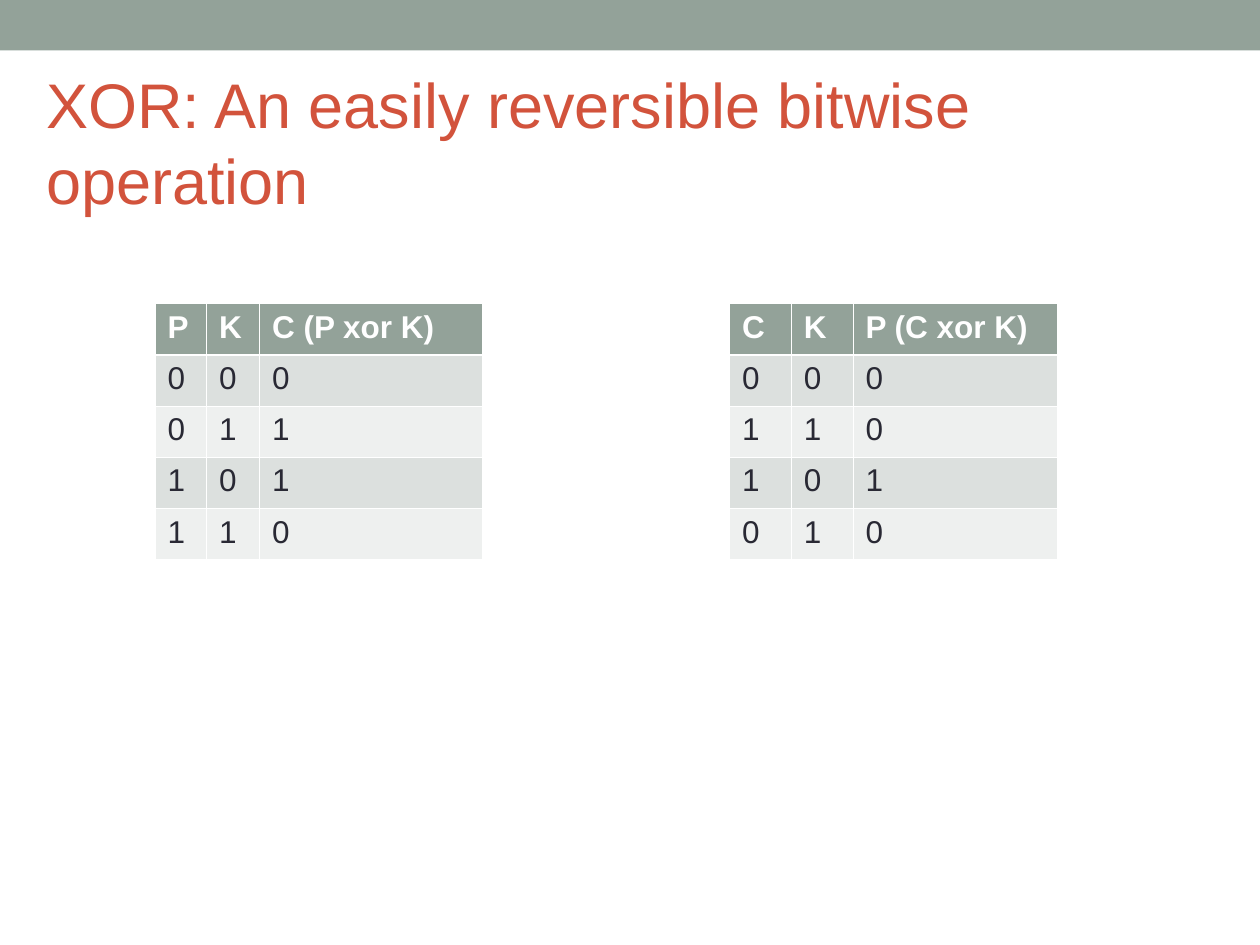
import pptx
import pptx.dml.color
import pptx.enum.shapes
import pptx.enum.text
import pptx.oxml
import pptx.oxml.ns
import pptx.util
from pptx.dml.color import RGBColor
from pptx.util import Inches

SAGE = RGBColor(0x93, 0xA2, 0x99)
RED = RGBColor(0xD2, 0x53, 0x3C)
INK = RGBColor(0x29, 0x29, 0x34)
WHITE = RGBColor(0xFF, 0xFF, 0xFF)
BANDS = (RGBColor(0xDC, 0xE0, 0xDE), RGBColor(0xEE, 0xF0, 0xEF))

THIN, THICK = 0.45, 1.47
TABLE_TOP, TABLE_HEIGHT = 2.41, 2.03

ENCRYPT = (("P", "K", "C (P xor K)"), "000", "011", "101", "110")
DECRYPT = (("C", "K", "P (C xor K)"), "000", "110", "101", "010")


def set_font(paragraph, size, color, bold=False):
    font = paragraph.font
    font.name = "Arial"
    font.size = pptx.util.Pt(size)
    font.color.rgb = color
    font.bold = bold


def add_top_band(slide):
    band = slide.shapes.add_shape(
        pptx.enum.shapes.MSO_SHAPE.RECTANGLE, 0, 0, Inches(10), Inches(0.4))
    band.shadow.inherit = False
    band.fill.solid()
    band.fill.fore_color.rgb = SAGE
    band.line.fill.background()


def add_title(slide, text):
    title = slide.shapes.add_textbox(
        Inches(0.27), Inches(0.58), Inches(9.23), Inches(1.08))
    frame = title.text_frame
    frame.word_wrap = True
    frame.vertical_anchor = pptx.enum.text.MSO_ANCHOR.MIDDLE
    frame.text = text
    set_font(frame.paragraphs[0], 36, RED)


def set_borders(cell, top, bottom):
    """Draw white cell edges; the side edges are always thin."""
    properties = cell._tc.get_or_add_tcPr()
    widths = (("lnL", THIN), ("lnR", THIN), ("lnT", top), ("lnB", bottom))
    for position, (edge, width) in enumerate(widths):
        line = pptx.oxml.parse_xml(
            f'<a:{edge} {pptx.oxml.ns.nsdecls("a")} w="{pptx.util.Pt(width)}">'
            f'<a:solidFill><a:srgbClr val="{WHITE}"/></a:solidFill></a:{edge}>')
        properties.insert(position, line)


def add_truth_table(slide, left, column_widths, rows):
    table = slide.shapes.add_table(
        len(rows), len(column_widths), Inches(left), Inches(TABLE_TOP),
        Inches(sum(column_widths)), Inches(TABLE_HEIGHT)).table
    for column, width in zip(table.columns, column_widths):
        column.width = Inches(width)
    for r, values in enumerate(rows):
        is_header = r == 0
        for c, value in enumerate(values):
            cell = table.cell(r, c)
            cell.text = value
            set_font(cell.text_frame.paragraphs[0], 18,
                     WHITE if is_header else INK, is_header)
            cell.fill.solid()
            cell.fill.fore_color.rgb = SAGE if is_header else BANDS[(r - 1) % 2]
            set_borders(cell, top=THICK if r == 1 else THIN,
                        bottom=THICK if is_header else THIN)


def main():
    deck = pptx.Presentation()
    deck.slide_width, deck.slide_height = Inches(10), Inches(7.5)
    slide = deck.slides.add_slide(deck.slide_layouts[6])
    add_top_band(slide)
    add_title(slide, "XOR: An easily reversible bitwise operation")
    add_truth_table(slide, 1.23, (0.41, 0.42, 1.77), ENCRYPT)
    add_truth_table(slide, 5.79, (0.49, 0.49, 1.62), DECRYPT)
    deck.save("out.pptx")


if __name__ == "__main__":
    main()
